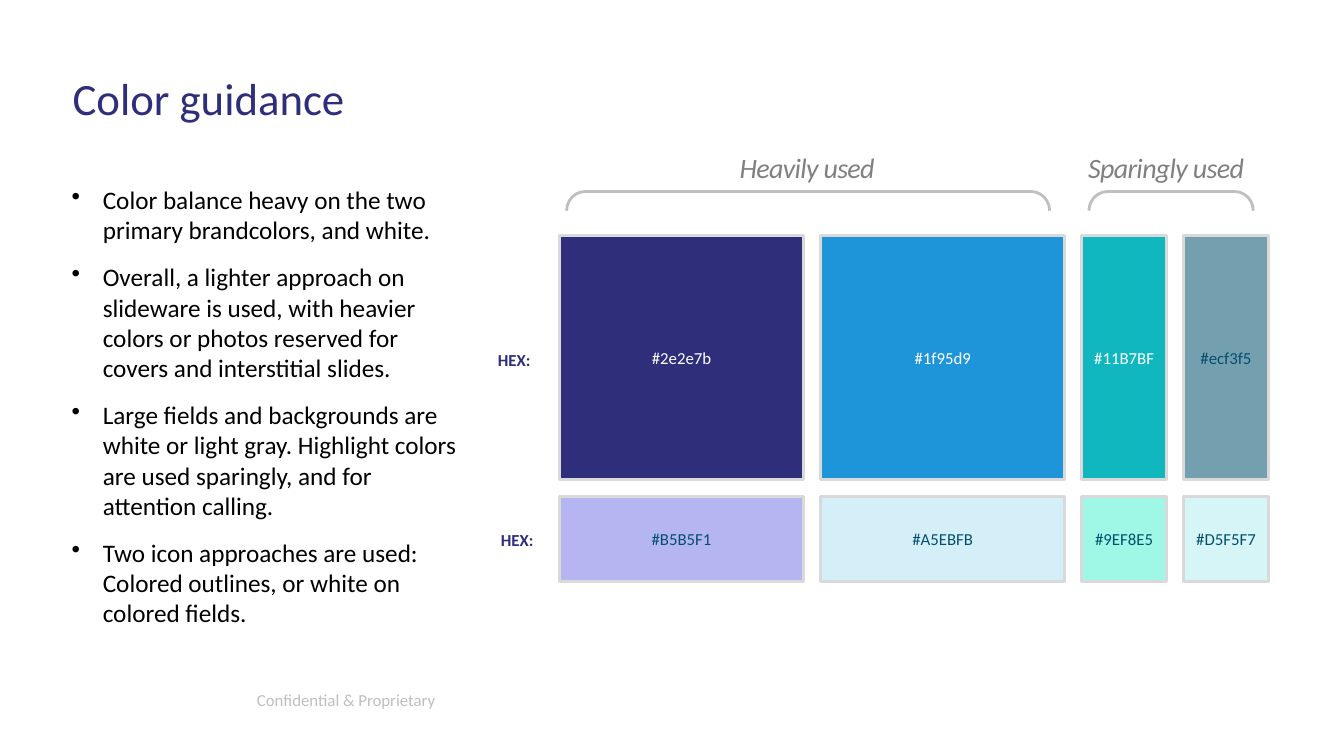
from dataclasses import dataclass

from lxml import etree
from pptx import Presentation
from pptx.dml.color import RGBColor
from pptx.enum.shapes import MSO_SHAPE
from pptx.enum.text import MSO_ANCHOR, MSO_AUTO_SIZE, PP_ALIGN
from pptx.oxml.ns import qn
from pptx.util import Inches, Pt

RECT, BRACKET = MSO_SHAPE.RECTANGLE, MSO_SHAPE.LEFT_BRACKET
LEFT, CENTER = PP_ALIGN.LEFT, PP_ALIGN.CENTER
TOP, MIDDLE = MSO_ANCHOR.TOP, MSO_ANCHOR.MIDDLE
FIT_SHAPE = MSO_AUTO_SIZE.SHAPE_TO_FIT_TEXT


@dataclass(frozen=True)
class Theme:
    font: str = "Calibri"
    title_size: int = 32
    heading_size: int = 20
    body_size: int = 18
    small_size: int = 12
    navy: str = "2E2E7B"
    black: str = "000000"
    white: str = "FFFFFF"
    teal_ink: str = "054F6E"
    heading: str = "808080"
    silver: str = "BFBFBF"
    border: str = "D9D9D9"
    line_width: int = 2


class SlideBuilder:
    def __init__(self, slide, theme):
        self.s = slide
        self.theme = theme

    def style(self, p, size, color, bold=False, italic=False):
        for r in p.runs:
            r.font.name = self.theme.font
            r.font.size = Pt(size)
            r.font.color.rgb = RGBColor.from_string(color)
            r.font.bold = bold
            r.font.italic = italic

    def text(self, box, text, size, color, align=LEFT, anchor=TOP,
             insets=(0.1, 0.05, 0.1, 0.05), wrap=True, **font):
        sp = self.s.shapes.add_textbox(*map(Inches, box))
        tf = sp.text_frame
        tf.text = text
        tf.word_wrap = wrap
        tf.vertical_anchor = anchor
        (tf.margin_left, tf.margin_top,
         tf.margin_right, tf.margin_bottom) = map(Inches, insets)
        for p in tf.paragraphs:
            p.alignment = align
            self.style(p, size, color, **font)
        return tf

    def title(self, box, text):
        tf = self.text(box, text, self.theme.title_size, self.theme.navy,
                       insets=(0, 0, 0.1, 0.05))
        tf.paragraphs[0].line_spacing = 0.9

    def bullets(self, box, items):
        tf = self.text(box, "\n".join(items), self.theme.body_size,
                       self.theme.black, insets=(0, 0.05, 0.1, 0.05))
        for i, p in enumerate(tf.paragraphs):
            p.space_before = Pt(12 if i else 0)
            pPr = p._p.get_or_add_pPr()
            pPr.set("marL", str(Inches(0.31)))
            pPr.set("indent", str(-Inches(0.31)))
            etree.SubElement(pPr, qn("a:buChar")).set("char", "•")

    def heading(self, box, text):
        tf = self.text(box, text, self.theme.heading_size, self.theme.heading,
                       CENTER, insets=(0, 0, 0, 0), wrap=False, italic=True)
        for r in tf.paragraphs[0].runs:
            r.font._element.set("spc", "-50")

    def row_label(self, left, top, text):
        tf = self.text((left, top, 0.57, 0.3), text, self.theme.small_size,
                       self.theme.navy, wrap=False, bold=True)
        tf.auto_size = FIT_SHAPE

    def shape(self, kind, box, line):
        sp = self.s.shapes.add_shape(kind, *map(Inches, box))
        sp.shadow.inherit = False
        sp.line.color.rgb = RGBColor.from_string(line)
        sp.line.width = Pt(self.theme.line_width)
        return sp

    def swatch(self, box, fill, label, ink):
        sp = self.shape(RECT, box, self.theme.border)
        sp.fill.solid()
        sp.fill.fore_color.rgb = RGBColor.from_string(fill)
        tf = sp.text_frame
        tf.text = label
        tf.margin_left = tf.margin_right = 0
        tf.vertical_anchor = MIDDLE
        tf.paragraphs[0].alignment = CENTER
        self.style(tf.paragraphs[0], self.theme.small_size, ink)

    def brace(self, left, top, span, depth):
        """Bracket lying on its side, open downwards, over the given span."""
        box = (left + (span - depth) / 2, top + (depth - span) / 2, depth, span)
        sp = self.shape(BRACKET, box, self.theme.silver)
        sp.fill.background()
        sp.rotation = 90
        sp.adjustments[0] = 0.968


GUIDANCE = [
    "Color balance heavy on the two primary brandcolors, and white.",
    "Overall, a lighter approach on slideware is used, with heavier colors "
    "or photos reserved for covers and interstitial slides.",
    "Large fields and backgrounds are white or light gray. Highlight colors "
    "are used sparingly, and for attention calling.",
    "Two icon approaches are used: Colored outlines, or white on colored fields.",
]
WIDE, NARROW, GAP = 2.42, 0.84, 0.17
GRID_LEFT, GRID_TOP = 5.55, 2.34


def main():
    prs = Presentation()
    prs.slide_width, prs.slide_height = Inches(13.33), Inches(7.5)
    theme = Theme()
    b = SlideBuilder(prs.slides.add_slide(prs.slide_layouts[6]), theme)

    b.text((2.45, 6.74, 4.5, 0.4), "Confidential & Proprietary",
           theme.small_size, theme.silver, anchor=MIDDLE)
    b.title((0.72, 0.76, 11.5, 0.35), "Color guidance")
    b.bullets((0.71, 1.78, 3.95, 4.39), GUIDANCE)

    # Column width, then (fill, label, ink) for the strong and the light tint
    columns = [
        (WIDE, ("2E2E7B", "#2e2e7b", theme.white),
         ("B5B5F1", "#B5B5F1", theme.teal_ink)),
        (WIDE, ("1F95D9", "#1f95d9", theme.white),
         ("D5EFF9", "#A5EBFB", theme.teal_ink)),
        (NARROW, ("11B7BF", "#11B7BF", theme.white),
         ("9EF8E5", "#9EF8E5", theme.teal_ink)),
        (NARROW, ("739FAF", "#ecf3f5", theme.teal_ink),
         ("D5F5F7", "#D5F5F7", theme.teal_ink)),
    ]
    left = GRID_LEFT
    for width, strong, light in columns:
        b.swatch((left, GRID_TOP, width, WIDE), *strong)
        b.swatch((left, GRID_TOP + WIDE + GAP, width, NARROW), *light)
        left += width + GAP

    for text, text_left, brace_left, span in [
            ("Heavily used", 6.45, 5.62, 4.79),
            ("Sparingly used", 10.01, 10.8, 1.63)]:
        b.heading((text_left, 1.49, 3.11, 0.42), text)
        b.brace(brace_left, 1.9, span, 0.19)

    for label_left, label_top in [(4.84, 3.42), (4.87, 5.21)]:
        b.row_label(label_left, label_top, "HEX:")

    prs.save("out.pptx")


if __name__ == "__main__":
    main()
